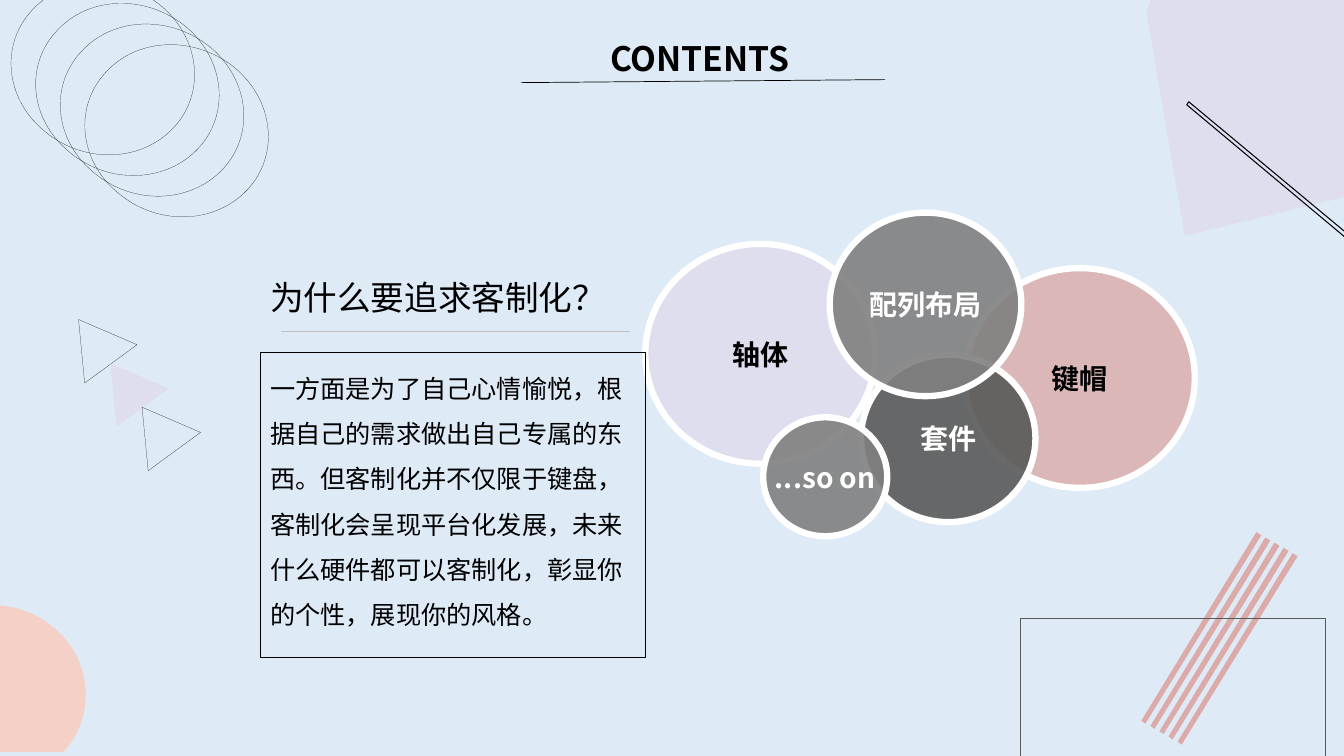
from math import cos, radians, sin

from lxml.etree import SubElement
from pptx import Presentation
from pptx.dml.color import RGBColor
from pptx.enum.shapes import MSO_CONNECTOR, MSO_SHAPE
from pptx.enum.text import MSO_ANCHOR, PP_ALIGN
from pptx.oxml.ns import qn
from pptx.util import Inches, Pt

FONT = "Noto Sans CJK SC"
BLACK, WHITE, INK = "000000", "FFFFFF", "1D1D1B"
LILAC, ROSE, PEACH = "DFDEEF", "DCABA9", "F4D0C7"
GREY, DARK_GREY = "808080", "595959"
HAIRLINE = 0.13

# Curved outlines: a start point, then two control points and an end point per curve
PEACH_DISC = [
    (-0.1, 6),
    (0.43, 6), (0.85, 6.4), (0.85, 6.89),
    (0.85, 7.11), (0.77, 7.31), (0.63, 7.46),
    (-0.45, 7.46), (-0.45, 7.46), (-0.45, 7.46),
    (-0.45, 6.06), (-0.45, 6.06), (-0.45, 6.06),
    (-0.34, 6.02), (-0.22, 6), (-0.1, 6),
]
RING = [
    (0.44, 1.3),
    (0.83, 1.63), (1.4, 1.61), (1.72, 1.27),
    (2.04, 0.93), (1.99, 0.39), (1.6, 0.06),
    (1.21, -0.26), (0.64, -0.25), (0.32, 0.1),
    (0, 0.44), (0.05, 0.98), (0.44, 1.3),
]
LILAC_SHEET = [(11.75, 2.34), (11.37, 0.12), (11.45, -0.11), (13.02, -0.38), (15.08, 1.53)]
TRIANGLE = [(0.84, 3.8), (0.78, 3.17), (1.36, 3.42)]
STRIPE = [(11.36, 7.18), (11.32, 7.15), (12.46, 5.28), (12.51, 5.31)]
NEEDLE = [(11.77, 1.04), (13.85, 2.78), (13.88, 2.75), (11.79, 1.01)]

# text, left, top, width, height, fill, opacity in percent, text colour
BUBBLES = [
    ("轴体", 6.4, 2.42, 2.28, 2.18, LILAC, 100, BLACK),
    ("键帽", 9.57, 2.66, 2.28, 2.18, ROSE, 80, BLACK),
    ("套件", 8.54, 3.52, 1.73, 1.66, DARK_GREY, 90, WHITE),
    ("配列布局", 8.23, 2.11, 1.9, 1.82, GREY, 90, WHITE),
    ("...so on", 7.57, 4.14, 1.23, 1.18, GREY, 90, WHITE),
]
BODY = ("一方面是为了自己心情愉悦，根据自己的需求做出自己专属的东西。"
        "但客制化并不仅限于键盘，客制化会呈现平台化发展，未来什么硬件都可以客制化，"
        "彰显你的个性，展现你的风格。")


def color(value):
    return RGBColor.from_string(value)


def set_attributes(target, values):
    for name, value in values.items():
        setattr(target, name, value)


def style_shape(shape, fill=None, line=None, opacity=100):
    """Set the fill colour and the (colour, points) line; None leaves either out."""
    shape.shadow.inherit = False
    if fill:
        shape.fill.solid()
        shape.fill.fore_color.rgb = color(fill)
        if opacity < 100:
            fill_color = shape.fill._xPr.find(qn("a:solidFill"))[0]
            SubElement(fill_color, qn("a:alpha"), val=str(opacity * 1000))
    else:
        shape.fill.background()
    if line:
        shape.line.color.rgb = color(line[0])
        shape.line.width = Pt(line[1])
    else:
        shape.line.fill.background()


def write_text(shape, text, size, text_color=BLACK, bold=False, frame_format=None,
               paragraph_format=None):
    frame = shape.text_frame
    set_attributes(frame, {"word_wrap": True, **(frame_format or {})})
    paragraph = frame.paragraphs[0]
    set_attributes(paragraph, {"alignment": PP_ALIGN.LEFT, **(paragraph_format or {})})
    run = paragraph.add_run()
    run.text = text
    set_attributes(run.font, {"size": Pt(size), "bold": bold, "name": FONT})
    run.font.color.rgb = color(text_color)
    SubElement(run.font._element, qn("a:ea"), typeface=FONT)


def add_preset(slide, kind, left, top, width, height, **style):
    shape = slide.shapes.add_shape(kind, *map(Inches, (left, top, width, height)))
    style_shape(shape, **style)
    return shape


def add_text_box(slide, left, top, width, height, text, size, **text_format):
    box = slide.shapes.add_textbox(*map(Inches, (left, top, width, height)))
    write_text(box, text, size, frame_format={"vertical_anchor": MSO_ANCHOR.BOTTOM},
               **text_format)


def add_line(slide, start, end, line_color, points):
    line = slide.shapes.add_connector(MSO_CONNECTOR.STRAIGHT, *map(Inches, start + end))
    line.line.color.rgb = color(line_color)
    line.line.width = Pt(points)
    SubElement(line._element.spPr, qn("a:effectLst"))


def turn(point, degrees):
    """Turn a point clockwise about the slide's top left corner."""
    x, y = point
    cosine, sine = cos(radians(degrees)), sin(radians(degrees))
    return x * cosine - y * sine, x * sine + y * cosine


def bend_segments(shape):
    """Join each three straight segments into one Bezier curve."""
    segments = list(shape._element.iter(qn("a:lnTo")))
    for index in range(0, len(segments), 3):
        curve = segments[index]
        curve.tag = qn("a:cubicBezTo")
        for segment in segments[index + 1:index + 3]:
            curve.append(segment[0])
            segment.getparent().remove(segment)


def add_outline(slide, points, shift=(0, 0), rotation=0, curved=False, **style):
    """Draw points given as they appear on the slide, in a box with this rotation."""
    moved = [(x + shift[0], y + shift[1]) for x, y in points]
    corners = [tuple(map(Inches, turn(point, -rotation))) for point in moved]
    builder = slide.shapes.build_freeform(*corners[0])
    builder.add_line_segments(corners[1:], close=True)
    shape = builder.convert_to_shape()
    center = turn((shape.left + shape.width / 2, shape.top + shape.height / 2), rotation)
    set_attributes(shape, {"left": round(center[0] - shape.width / 2),
                           "top": round(center[1] - shape.height / 2),
                           "rotation": rotation})
    if curved:
        bend_segments(shape)
    style_shape(shape, **style)


def add_decoration(slide):
    add_outline(slide, PEACH_DISC, rotation=270, curved=True, fill=PEACH)
    add_outline(slide, LILAC_SHEET, rotation=170.3, fill=LILAC)
    thin = {"line": (INK, HAIRLINE)}
    for index, style in enumerate((thin, {"fill": LILAC}, thin)):
        add_outline(slide, TRIANGLE, (index * 0.315, index * 0.435), 324.1, **style)
    for index in range(5):
        add_outline(slide, STRIPE, (index * 0.09, index * 0.052), fill=ROSE)
    for index in reversed(range(4)):
        add_outline(slide, RING, (index * 0.244, index * 0.205), 350.1, curved=True, **thin)
    add_preset(slide, MSO_SHAPE.RECTANGLE, 10.12, 6.13, 3.02, 1.37, line=("575857", HAIRLINE))


def add_bubble(slide, text, left, top, width, height, fill, opacity, text_color):
    bubble = add_preset(slide, MSO_SHAPE.OVAL, left, top, width, height,
                        fill=fill, opacity=opacity, line=(WHITE, 4.5))
    write_text(bubble, text, 20, text_color, bold=True,
               frame_format={"word_wrap": False, "vertical_anchor": MSO_ANCHOR.MIDDLE},
               paragraph_format={"alignment": PP_ALIGN.CENTER})


def main():
    presentation = Presentation()
    set_attributes(presentation, {"slide_width": Inches(13.33), "slide_height": Inches(7.5)})
    slide = presentation.slides.add_slide(presentation.slide_layouts[6])
    slide.background.fill.solid()
    slide.background.fill.fore_color.rgb = color("DEEBF7")

    add_decoration(slide)
    add_line(slide, (5.17, 0.82), (8.78, 0.79), BLACK, 0.5)
    add_text_box(slide, 2.82, 0, 5.11, 0.83, "CONTENTS", 24, bold=True,
                 paragraph_format={"alignment": PP_ALIGN.RIGHT})
    add_outline(slide, NEEDLE, rotation=9, line=(BLACK, 0.75))
    for bubble in BUBBLES:
        add_bubble(slide, *bubble)
    add_text_box(slide, 2.58, 2.32, 3.62, 0.88, "为什么要追求客制化？", 24)
    add_line(slide, (2.79, 3.29), (6.25, 3.29), "BFBFBF", 0.25)
    body = add_preset(slide, MSO_SHAPE.RECTANGLE, 2.58, 3.5, 3.82, 3.02, line=(BLACK, 0.75))
    write_text(body, BODY, 18, frame_format={"vertical_anchor": MSO_ANCHOR.TOP},
               paragraph_format={"line_spacing": 1.5})
    presentation.save("out.pptx")


if __name__ == "__main__":
    main()
